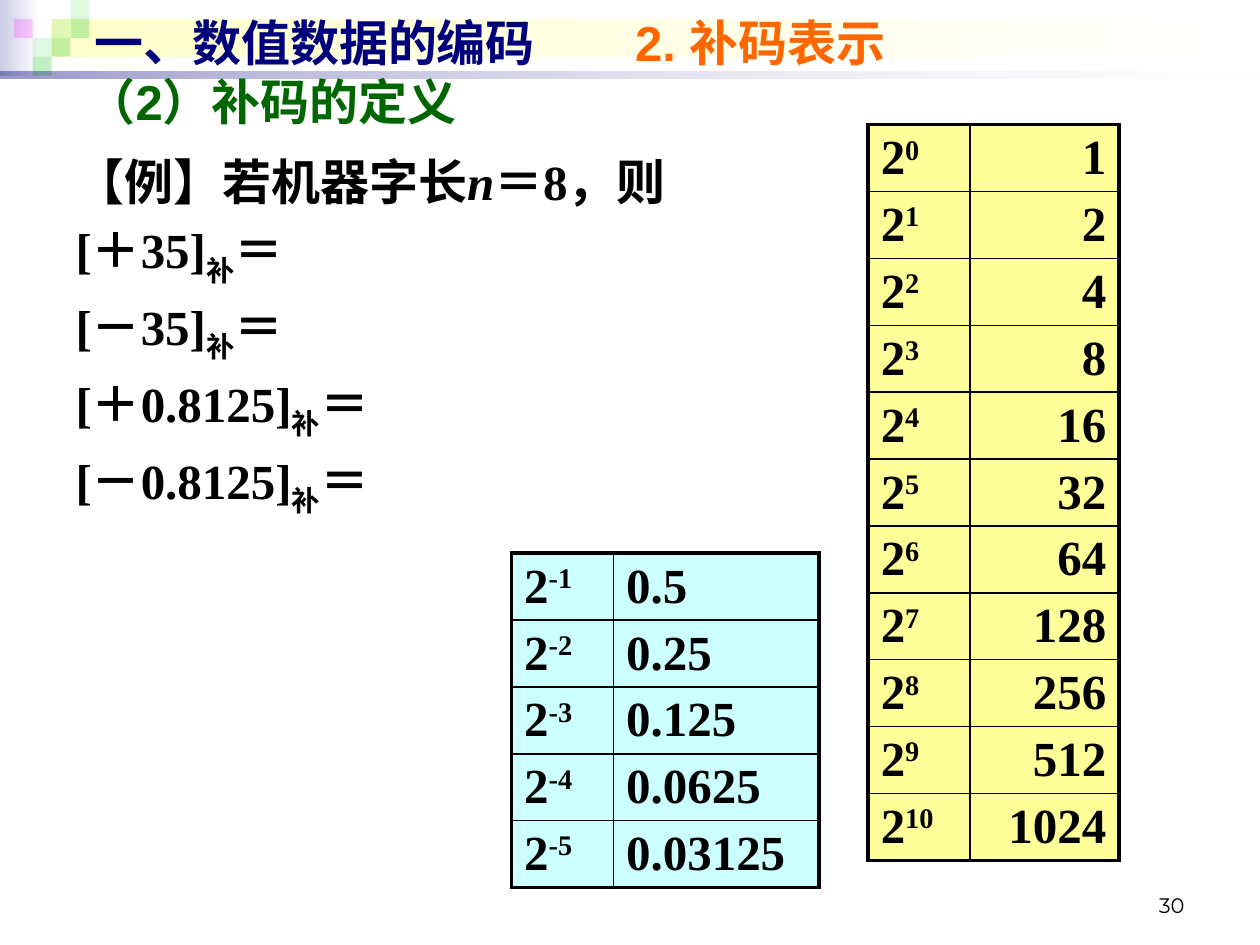
from dataclasses import dataclass

from lxml import etree
from pptx import Presentation
from pptx import util as u
from pptx.dml.color import RGBColor
from pptx.enum import shapes, text
from pptx.oxml import ns


@dataclass(frozen=True)
class Theme:
    black: str = "000000"
    white: str = "FFFFFF"
    navy: str = "00007D"
    orange: str = "FF6600"
    dark_green: str = "006600"
    lavender: str = "CCCCE6"
    cream: str = "FFFFCC"
    green: str = "33CC33"
    magenta: str = "FF00FF"
    yellow: str = "FFFF99"
    cyan: str = "CCFFFF"
    heading: str = "Arial"
    serif: str = "Times New Roman"
    number: str = "Montserrat"
    main_size: float = 28
    number_size: float = 12
    gap: float = 5.6


T = Theme()
Inches = u.Inches


def add_run(p, words, color=T.black, font=T.serif, size=T.main_size,
            bold=True, italic=False, baseline=0):
    r = p.add_run()
    r.text = words
    r.font.name = font
    r.font.size = u.Pt(size)
    r.font.bold = bold
    r.font.italic = italic
    r.font.color.rgb = RGBColor.from_string(color)
    if baseline:
        r._r.get_or_add_rPr().set("baseline", str(baseline * 1000))


def add_block(group, left, top, width, height, colors, alphas):
    sp = group.shapes.add_shape(shapes.MSO_SHAPE.RECTANGLE, Inches(left),
                                Inches(top), Inches(width), Inches(height))
    sp.shadow.inherit = False
    sp.line.fill.background()
    if len(colors) == 1:
        sp.fill.solid()
        sp.fill.fore_color.rgb = RGBColor.from_string(colors[0])
    else:
        sp.fill.gradient()
        sp.fill.gradient_angle = 0
        for stop, color in zip(sp.fill.gradient_stops, colors):
            stop.color.rgb = RGBColor.from_string(color)
    for clr, alpha in zip(sp.element.spPr.iter(ns.qn("a:srgbClr")), alphas):
        if alpha < 100:
            etree.SubElement(clr, ns.qn("a:alpha")).set("val", str(alpha * 1000))


prs = Presentation()
prs.slide_width = Inches(10)
prs.slide_height = Inches(7.5)
s = prs.slides.add_slide(prs.slide_layouts[1])
title, body = s.placeholders[0], s.placeholders[1]

banner = s.shapes.add_group_shape()
add_block(banner, 0, 0, 0.31, 0.6, [T.lavender, T.white], [100, 100])
add_block(banner, 0.41, 0.15, 9.55, 0.3, [T.cream, T.white], [100, 100])
for col, row, color, alpha in [
    (2, 1, T.green, 15), (3, 0, T.green, 15), (3, 1, T.green, 30),
    (1, 2, T.green, 15), (0, 1, T.magenta, 20), (2, 2, T.green, 30),
    (1, 3, T.green, 30),
]:
    add_block(banner, 0.11 + 0.15 * col, 0.15 * row, 0.15, 0.15, [color], [alpha])
add_block(banner, 0, 0.57, 10, 0.05, [T.navy, T.white], [40, 10])

tree = title.element.getparent()
number = s.shapes.add_textbox(Inches(7.17), Inches(6.83), Inches(2.33), Inches(0.5))
number.text_frame.vertical_anchor = text.MSO_ANCHOR.BOTTOM
p = number.text_frame.paragraphs[0]
p.alignment = text.PP_ALIGN.RIGHT
add_run(p, "30", font=T.number, size=T.number_size, bold=False)

tree.append(title.element)
subtitle = s.shapes.add_textbox(Inches(0.59), Inches(0.52), Inches(9), Inches(0.57))
tree.append(body.element)

for sp, left, top, width, height, anchor in [
    (title, 0.65, 0.05, 9, 0.57, text.MSO_ANCHOR.MIDDLE),
    (subtitle, 0.59, 0.52, 9, 0.57, text.MSO_ANCHOR.MIDDLE),
    (body, 0.5, 1.15, 9.15, 5.98, text.MSO_ANCHOR.TOP),
]:
    sp.left, sp.top = Inches(left), Inches(top)
    sp.width, sp.height = Inches(width), Inches(height)
    tf = sp.text_frame
    tf.word_wrap = True
    tf.auto_size = text.MSO_AUTO_SIZE.NONE
    tf.vertical_anchor = anchor

p = title.text_frame.paragraphs[0]
tabs = etree.SubElement(p._p.get_or_add_pPr(), ns.qn("a:tabLst"))
tab = etree.SubElement(tabs, ns.qn("a:tab"))
tab.set("pos", str(Inches(4.29)))
tab.set("algn", "l")
p.alignment = text.PP_ALIGN.LEFT
add_run(p, "一、数值数据的编码\t", T.navy, T.heading)
add_run(p, "2. 补码表示", T.orange, T.heading)

add_run(subtitle.text_frame.paragraphs[0], "（2）补码的定义", T.dark_green, T.heading)

lines = [[("【例】若机器字长", {}), ("n", {"italic": True}), ("＝8，则", {})]]
for value in ["＋35", "－35", "＋0.8125", "－0.8125"]:
    lines.append([(f"[{value}]", {}), ("补", {"baseline": -25}), ("＝", {})])
tf = body.text_frame
for i, line in enumerate(lines):
    p = tf.add_paragraph() if i else tf.paragraphs[0]
    pPr = p._p.get_or_add_pPr()
    pPr.set("marL", "0")
    pPr.set("indent", "0")
    etree.SubElement(pPr, ns.qn("a:buNone"))
    p.space_before = u.Pt(T.gap if i else 0)
    for words, style in line:
        add_run(p, words, **style)

row_height = 0.53
positive = [(str(n), str(2 ** n)) for n in range(11)]
negative = [(str(-n), str(2 ** -n)) for n in range(1, 6)]
for left, top, widths, powers, color, align in [
    (6.89, 0.99, (0.81, 1.18), positive, T.yellow, text.PP_ALIGN.RIGHT),
    (4.06, 4.39, (0.81, 1.63), negative, T.cyan, text.PP_ALIGN.LEFT),
]:
    count = len(powers)
    table = s.shapes.add_table(count, 2, Inches(left), Inches(top),
                               Inches(sum(widths)), Inches(row_height * count)).table
    table.first_row = False
    table.horz_banding = False
    for column, width in zip(table.columns, widths):
        column.width = Inches(width)
    for i, (exponent, value) in enumerate(powers):
        table.rows[i].height = Inches(row_height)
        base_cell, value_cell = table.cell(i, 0), table.cell(i, 1)
        p = base_cell.text_frame.paragraphs[0]
        add_run(p, "2")
        add_run(p, exponent, baseline=30)
        p = value_cell.text_frame.paragraphs[0]
        p.alignment = align
        add_run(p, value)
        for j, cell in enumerate([base_cell, value_cell]):
            cell.fill.solid()
            cell.fill.fore_color.rgb = RGBColor.from_string(color)
            tcPr = cell._tc.get_or_add_tcPr()
            outer = [("L", j == 0), ("R", j == 1), ("T", i == 0), ("B", i == count - 1)]
            for k, (side, is_outer) in enumerate(outer):
                ln = etree.Element(ns.qn(f"a:ln{side}"))
                ln.set("w", str(u.Pt(2.25 if is_outer else 1)))
                fill = etree.SubElement(ln, ns.qn("a:solidFill"))
                etree.SubElement(fill, ns.qn("a:srgbClr")).set("val", T.black)
                tcPr.insert(k, ln)

prs.save("out.pptx")
